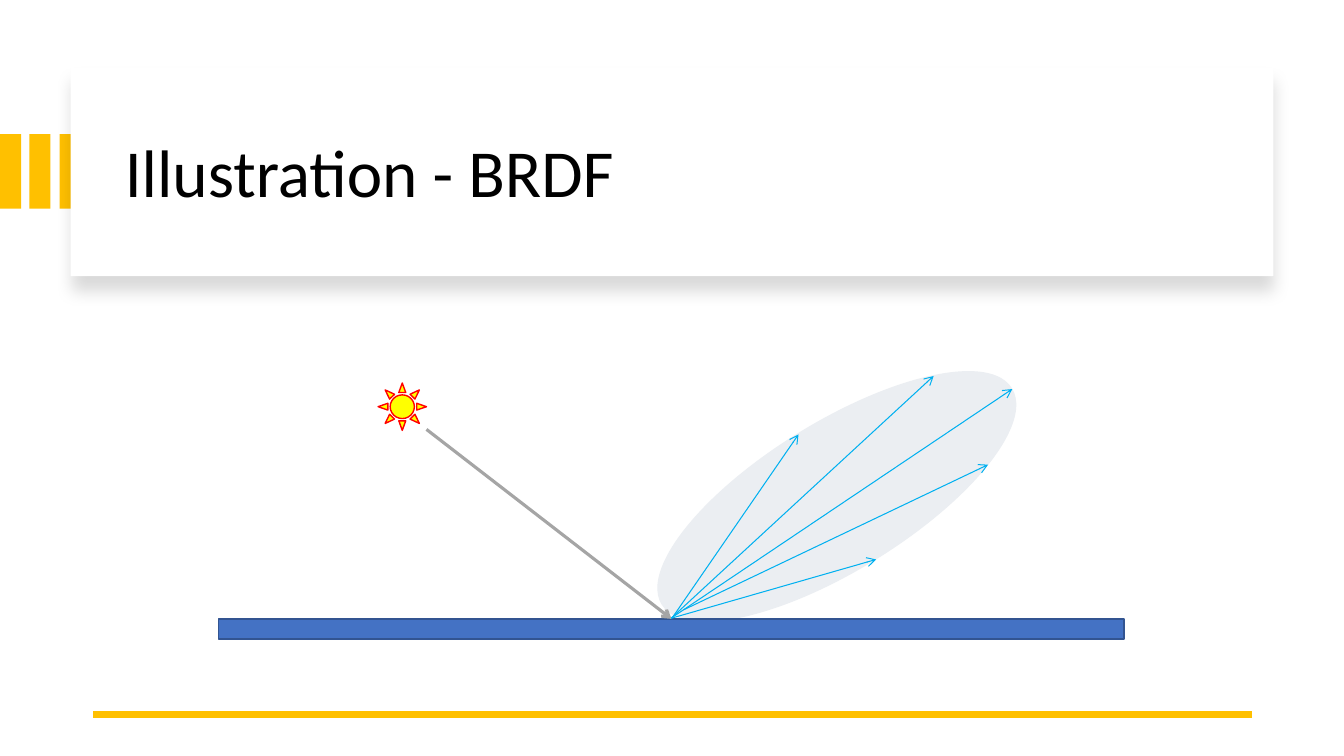
"""Build the BRDF illustration slide with its light source, surface and reflected rays."""
from lxml.etree import SubElement
from pptx import Presentation
from pptx.dml.color import RGBColor
from pptx.enum.shapes import MSO_CONNECTOR as Connector, MSO_SHAPE as Preset
from pptx.enum.text import MSO_ANCHOR as Anchor
from pptx.oxml.ns import qn
from pptx.util import Emu, Pt

PX = 9144
BLACK = RGBColor(0x00, 0x00, 0x00)
WHITE = RGBColor(0xFF, 0xFF, 0xFF)
GOLD = RGBColor(0xFF, 0xC0, 0x00)
LOBE = RGBColor(0xEB, 0xEE, 0xF2)
SURFACE = RGBColor(0x44, 0x72, 0xC4)
SURFACE_EDGE = RGBColor(0x32, 0x54, 0x91)
YELLOW = RGBColor(0xFF, 0xFF, 0x00)
RED = RGBColor(0xFF, 0x00, 0x00)
GREY = RGBColor(0xA5, 0xA5, 0xA5)
SKY = RGBColor(0x00, 0xB0, 0xF0)

REFLECTED_RAYS = [
    ((666, 614), (792, 431)),
    ((666, 613), (1004, 386)),
    ((667, 613), (869, 555)),
    ((666, 613), (926, 373)),
    ((678, 605), (980, 461)),
]


def px(*lengths):
    """Turn pixel lengths into EMU."""
    return [Emu(length * PX) for length in lengths]


def apply_format(target, values):
    """Set each named attribute of the target."""
    for name, value in values.items():
        setattr(target, name, value)


def add_filled(page, preset, bounds, fill, edge=None, rotation=0):
    """Add a preset shape with a solid fill and an optional one-point edge."""
    shape = page.shapes.add_shape(preset, *px(*bounds))
    shape.shadow.inherit = False
    shape.rotation = rotation
    shape.fill.solid()
    shape.fill.fore_color.rgb = fill
    if edge is None:
        shape.line.fill.background()
    else:
        shape.line.color.rgb = edge
        shape.line.width = Pt(1)
    return shape


def add_drop_shadow(shape):
    """Give the shape a soft shadow straight below it."""
    effects = shape.element.spPr.find(qn("a:effectLst"))
    shadow = SubElement(effects, qn("a:outerShdw"), blurRad=str(Pt(11)),
                        dist=str(Pt(10)), dir="5400000", algn="t", rotWithShape="0")
    color = SubElement(shadow, qn("a:srgbClr"), val=str(BLACK))
    SubElement(color, qn("a:alpha"), val="15000")


def add_line(page, start, end, color, width, arrow=True):
    """Add a straight line, with an arrowhead at its end if wanted."""
    line = page.shapes.add_connector(Connector.STRAIGHT, *px(*start, *end))
    line.line.color.rgb = color
    line.line.width = Pt(width)
    properties = line.element.spPr
    if arrow:
        SubElement(properties.find(qn("a:ln")), qn("a:tailEnd"), type="arrow")
    SubElement(properties, qn("a:effectLst"))


def add_title(page, text, bounds):
    """Add the slide title in a text box."""
    box = page.shapes.add_textbox(*px(*bounds))
    apply_format(box.text_frame, {"word_wrap": True, "vertical_anchor": Anchor.MIDDLE})
    para = box.text_frame.paragraphs[0]
    para.line_spacing = 0.9
    span = para.add_run()
    span.text = text
    apply_format(span.font, {"name": "Calibri", "size": Pt(48)})
    span.font.color.rgb = BLACK


def add_header(page):
    """Add the gold bars, the raised panel and the title."""
    for index in range(3):
        add_filled(page, Preset.RECTANGLE, (index * 59 // 2, 133, 21, 74), GOLD)
    panel = add_filled(page, Preset.RECTANGLE, (70, 67, 1193, 207), WHITE)
    add_drop_shadow(panel)
    add_title(page, "Illustration - BRDF", (114, 89, 1113, 170))


def add_diagram(page):
    """Add the reflection lobe, the surface, the sun and the rays."""
    add_filled(page, Preset.OVAL, (757, 289, 146, 407), LOBE, LOBE, 58.3)
    add_filled(page, Preset.RECTANGLE, (217, 614, 898, 20), SURFACE, SURFACE_EDGE)
    add_filled(page, Preset.SUN, (375, 380, 48, 47), YELLOW, RED)
    add_line(page, (423, 426), (666, 614), GREY, 2.25)
    for start, end in REFLECTED_RAYS:
        add_line(page, start, end, SKY, 0.75)


def main():
    """Build and save the deck."""
    deck = Presentation()
    deck.slide_width, deck.slide_height = px(1333, 750)
    page = deck.slides.add_slide(deck.slide_layouts[6])
    add_header(page)
    add_line(page, (1242, 709), (92, 709), GOLD, 4.5, arrow=False)
    add_diagram(page)
    deck.save("out.pptx")


if __name__ == "__main__":
    main()
